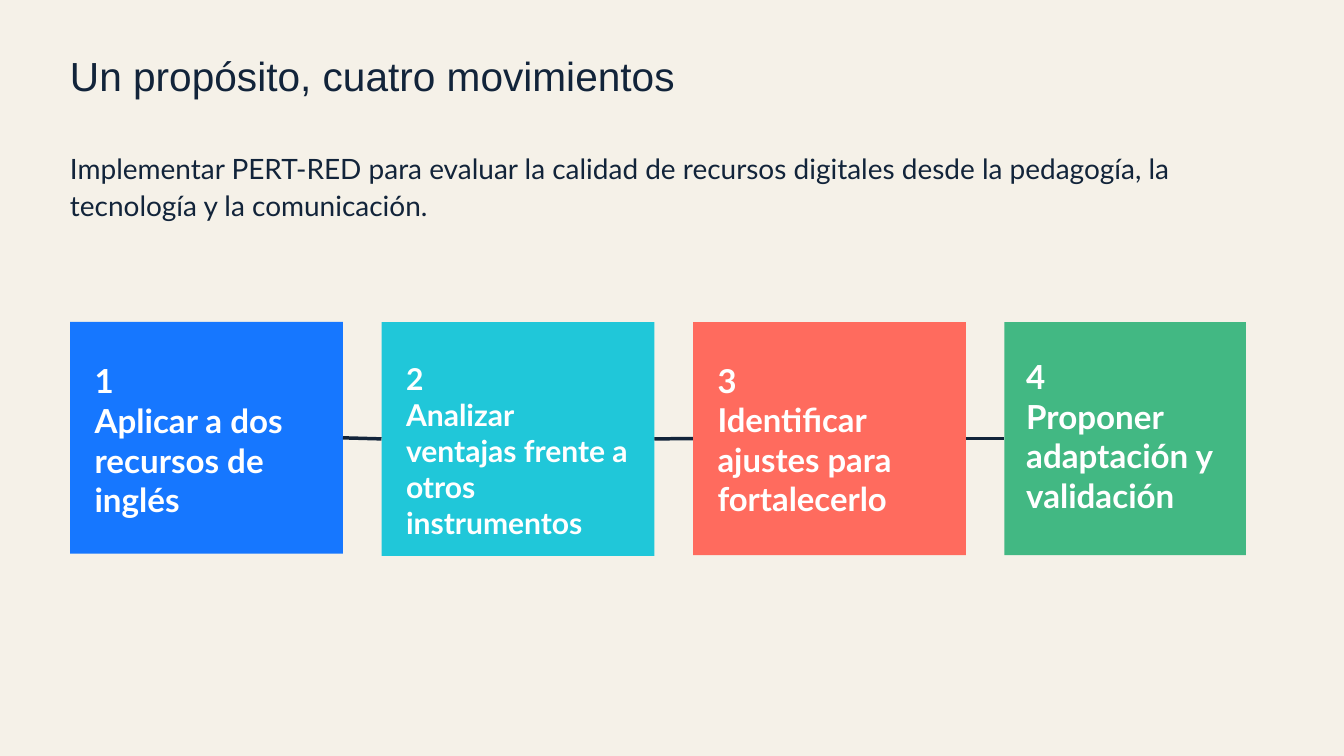
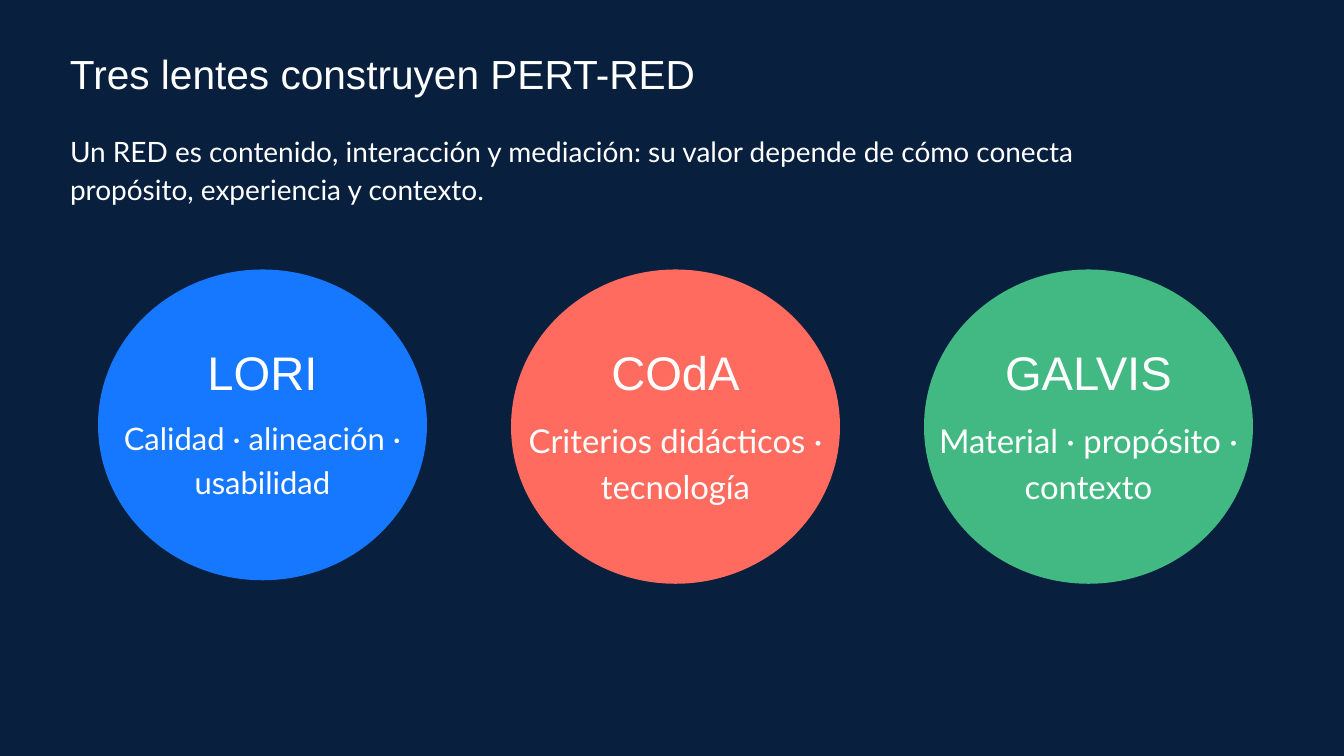
from dataclasses import dataclass

from lxml import etree
from pptx import Presentation
from pptx import util as u
from pptx.dml import color
from pptx.enum import shapes, text
from pptx.oxml import ns


@dataclass(frozen=True)
class Theme:
    cream: str = "F5F1E8"
    navy: str = "081F3D"
    ink: str = "12243A"
    white: str = "FFFFFF"
    blue: str = "1677FF"
    cyan: str = "20C7D9"
    coral: str = "FF6B5E"
    green: str = "42B883"
    heading_font: str = "Arial"
    body_font: str = "Lato"
    title_size: float = 43.5
    intro_size: float = 30
    lens_size: float = 50.5
    line_width: float = 3.75


THEME = Theme()
WIDTH, HEIGHT = u.Inches(20), u.Inches(11.25)
COLUMNS, ROWS = 192, 108
MARGIN = 10  # columns


# Grid and colour helpers
def place(left, top, width, height):
    """Turn grid columns and rows into slide lengths."""
    column, row = WIDTH / COLUMNS, HEIGHT / ROWS
    return (round(left * column), round(top * row),
            round(width * column), round(height * row))


def rgb(value):
    return color.RGBColor.from_string(value)


# Elements
def add_text(parent, area, lines, size, leading, ink,
             font=THEME.body_font, bold=False, centred=False):
    frame = parent.shapes.add_textbox(*place(*area)).text_frame
    frame.word_wrap = True
    frame.auto_size = text.MSO_AUTO_SIZE.SHAPE_TO_FIT_TEXT
    frame.margin_left = frame.margin_right = 0
    frame.margin_top = frame.margin_bottom = 0
    for index, line in enumerate(lines):
        paragraph = frame.add_paragraph() if index else frame.paragraphs[0]
        paragraph.line_spacing = u.Pt(size * leading)
        if centred:
            paragraph.alignment = text.PP_ALIGN.CENTER
        run = paragraph.add_run()
        run.text = line
        run.font.name = font
        run.font.size = u.Pt(size)
        run.font.bold = bold
        run.font.color.rgb = rgb(ink)


def add_block(parent, kind, area, fill):
    shape = parent.shapes.add_shape(kind, *place(*area))
    shape.shadow.inherit = False
    shape.fill.solid()
    shape.fill.fore_color.rgb = rgb(fill)
    shape.line.fill.background()
    return shape


def add_link(slide, start, end):
    """Join the right side of one card to the left side of the next."""
    link = slide.shapes.add_connector(shapes.MSO_CONNECTOR.STRAIGHT, 0, 0, 0, 0)
    link.begin_connect(start, 3)
    link.end_connect(end, 1)
    link.line.color.rgb = rgb(THEME.ink)
    link.line.width = u.Pt(THEME.line_width)
    properties = link._element.find(ns.qn("p:spPr"))
    etree.SubElement(properties, ns.qn("a:effectLst"))


def add_slide(presentation, background, ink, title, title_top):
    slide = presentation.slides.add_slide(presentation.slide_layouts[6])
    slide.background.fill.solid()
    slide.background.fill.fore_color.rgb = rgb(background)
    add_text(slide, (MARGIN, title_top, 120, 6.2), [title],
             THEME.title_size, 1.05, ink, THEME.heading_font)
    return slide


def add_card(slide, left, width, height, fill, lines, size, text_top, text_height):
    group = slide.shapes.add_group_shape()
    card = add_block(group, shapes.MSO_SHAPE.RECTANGLE, (left, 46, width, height), fill)
    area = (left + 0.09 * width, text_top, 0.82 * width, text_height)
    add_text(group, area, lines, size, 1.2, THEME.white, bold=True)
    return card


def add_lens(slide, left, height, fill, name, caption, size, caption_height):
    width = 47
    group = slide.shapes.add_group_shape()
    add_block(group, shapes.MSO_SHAPE.OVAL, (left, 38.5, width, height), fill)
    add_text(group, (left, 47.7, width, 8.8), [name], THEME.lens_size, 1.4,
             THEME.white, THEME.heading_font, centred=True)
    add_text(group, (left, 59.1, width, caption_height), [caption], size, 1.4,
             THEME.white, centred=True)


# Slides
def build_movements(presentation):
    slide = add_slide(presentation, THEME.cream, THEME.ink,
                      "Un propósito, cuatro movimientos", 8.1)
    add_text(slide, (MARGIN, 21.3, 172, 10),
             ["Implementar PERT-RED para evaluar la calidad de recursos digitales "
              "desde la pedagogía, la tecnología y la comunicación."],
             THEME.intro_size, 1.3, THEME.ink)
    # Width, height, fill, wording, type size, text top, text height
    movements = [
        (39, 33.1, THEME.blue, "Aplicar a dos recursos de inglés", 35.5, 51.5, 22.4),
        (39, 33.4, THEME.cyan, "Analizar ventajas frente a otros instrumentos",
         32.2, 51.5, 25.4),
        (39, 33.3, THEME.coral, "Identificar ajustes para fortalecerlo", 35.2, 51.5, 22.4),
        (34.5, 33.3, THEME.green, "Proponer adaptación y validación", 35.5, 50.9, 22.4),
    ]
    pitch = 44.5
    cards = [
        add_card(slide, MARGIN + index * pitch, width, height, fill,
                 [str(index + 1), wording], size, text_top, text_height)
        for index, (width, height, fill, wording, size, text_top, text_height)
        in enumerate(movements)
    ]
    for start, end in zip(cards, cards[1:]):
        add_link(slide, start, end)


def build_lenses(presentation):
    slide = add_slide(presentation, THEME.navy, THEME.white,
                      "Tres lentes construyen PERT-RED", 7.8)
    add_text(slide, (MARGIN, 18.6, 145, 10.4),
             ["Un RED es contenido, interacción y mediación: su valor depende de "
              "cómo conecta propósito, experiencia y contexto."],
             THEME.intro_size, 1.35, THEME.white)
    # Height, fill, name, caption, caption size, caption height
    lenses = [
        (44.4, THEME.blue, "LORI", "Calidad · alineación · usabilidad", 33.2, 12),
        (44.9, THEME.coral, "COdA", "Criterios didácticos · tecnología", 35.2, 12.6),
        (44.9, THEME.green, "GALVIS", "Material · propósito · contexto", 35.2, 12.6),
    ]
    first, pitch = 14, 59
    for index, lens in enumerate(lenses):
        add_lens(slide, first + index * pitch, *lens)


def main():
    presentation = Presentation()
    presentation.slide_width, presentation.slide_height = WIDTH, HEIGHT
    build_movements(presentation)
    build_lenses(presentation)
    presentation.save("out.pptx")


if __name__ == "__main__":
    main()
